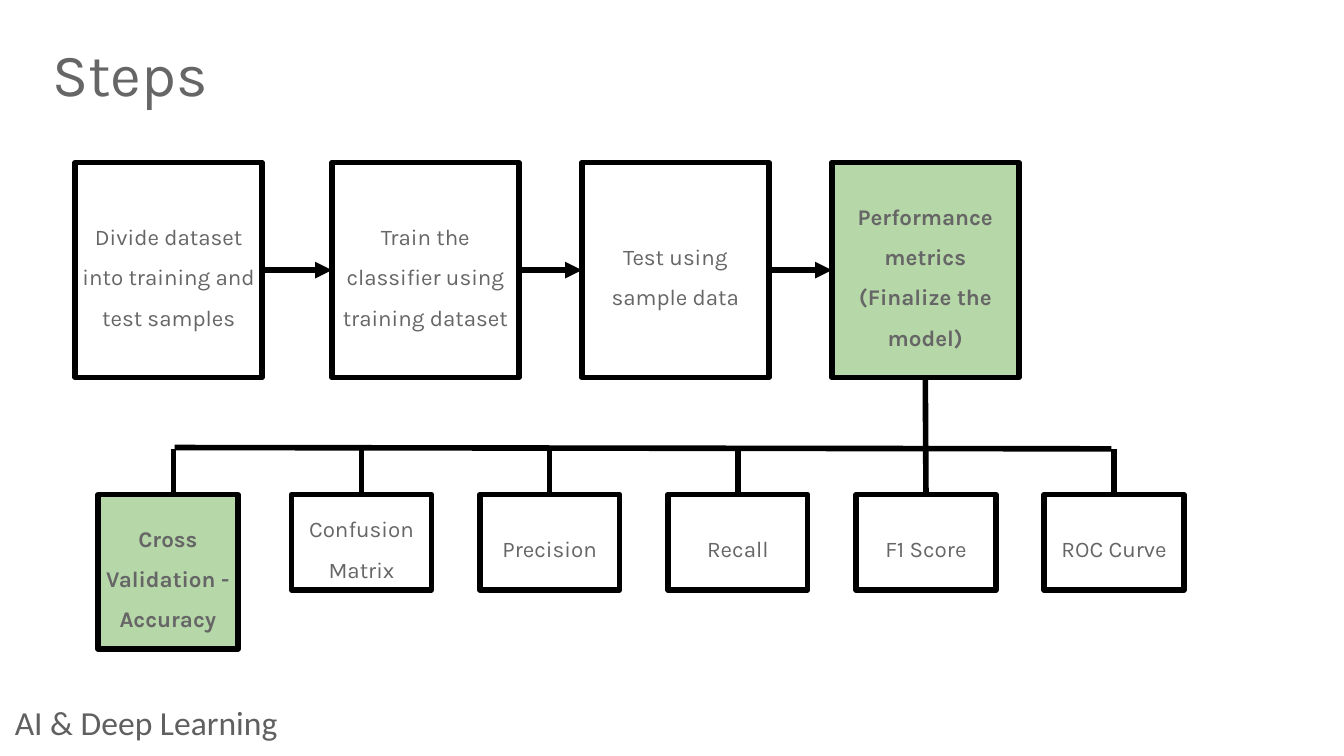
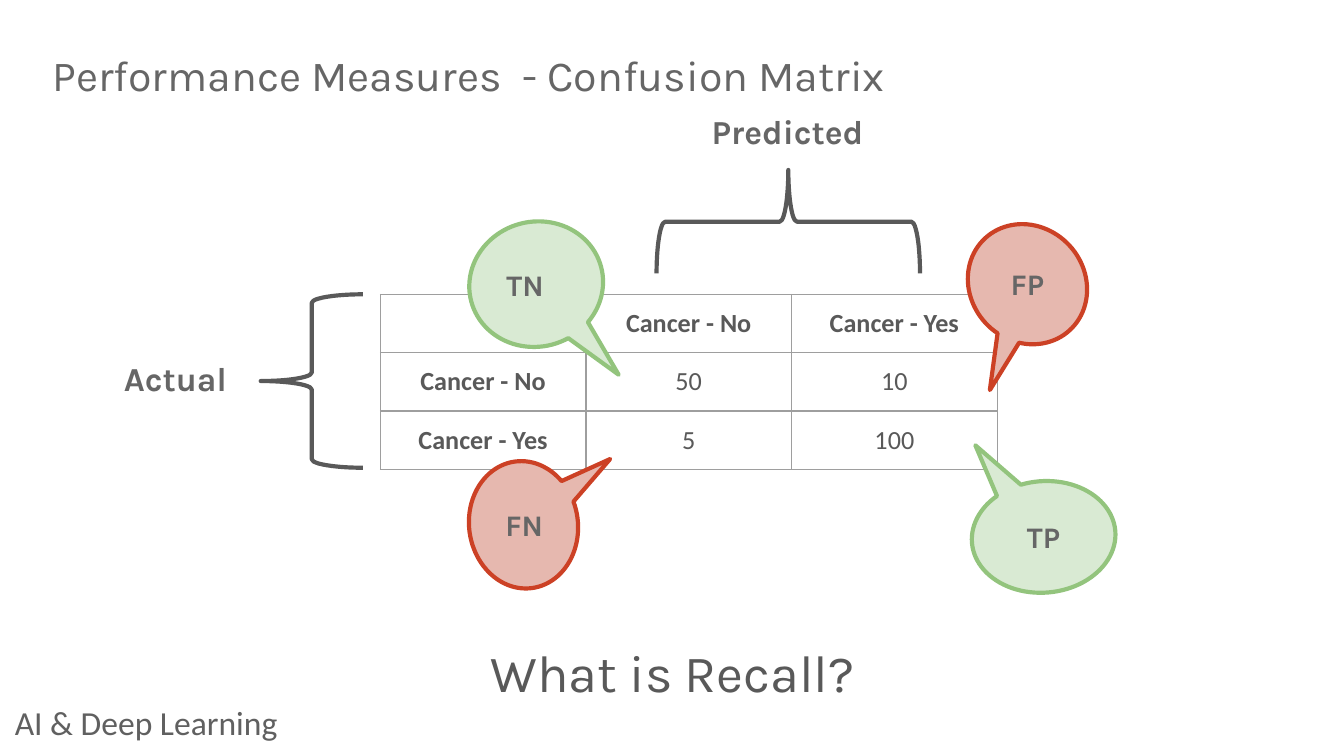
import dataclasses

import lxml.etree
import pptx
import pptx.dml.color
import pptx.enum.shapes
import pptx.enum.text
import pptx.oxml.ns
import pptx.util

Inches = pptx.util.Inches
Pt = pptx.util.Pt
SHAPE = pptx.enum.shapes.MSO_SHAPE
ALIGN = pptx.enum.text.PP_ALIGN
qn = pptx.oxml.ns.qn


@dataclasses.dataclass(frozen=True)
class Theme:
    heading_font: str = "Karla"
    body_font: str = "Calibri"
    text: str = "666666"
    dark: str = "595959"
    footer: str = "606060"
    box_line: str = "000000"
    grid: str = "9E9E9E"
    highlight: str = "B6D7A8"
    right: tuple = ("D9EAD3", "93C47D")
    wrong: tuple = ("E6B8AF", "CC4125")
    title_size: int = 32
    long_title_size: int = 23
    question_size: int = 28
    label_size: int = 18
    tag_size: int = 16
    table_size: int = 14
    box_size: int = 12
    box_width: float = 3
    outline_width: float = 2.25
    grid_width: float = 0.75


T = Theme()


def rgb(value):
    return pptx.dml.color.RGBColor.from_string(value)


def set_text(tf, text, size, font=T.heading_font, color=T.text, bold=False,
             align=ALIGN.CENTER, spacing=None):
    p = tf.paragraphs[0]
    p.alignment = align
    p.line_spacing = spacing
    r = p.add_run()
    r.text = text
    formats = {"size": Pt(size), "name": font, "bold": bold}
    for name, value in formats.items():
        setattr(r.font, name, value)
    r.font.color.rgb = rgb(color)


def set_frame(tf, inset):
    formats = {"word_wrap": True, "vertical_anchor": pptx.enum.text.MSO_ANCHOR.MIDDLE}
    for side in ("left", "top", "right", "bottom"):
        formats[f"margin_{side}"] = Inches(inset)
    for name, value in formats.items():
        setattr(tf, name, value)


def add_text(s, at, text, size, inset=0.1, **style):
    tf = s.shapes.add_textbox(*map(Inches, at)).text_frame
    set_frame(tf, inset)
    set_text(tf, text, size, **style)


def add_outlined(s, kind, at, line, width, fill=None, rotation=0):
    sp = s.shapes.add_shape(kind, *map(Inches, at))
    sp.shadow.inherit = False
    sp.rotation = rotation
    sp.line.color.rgb = rgb(line)
    sp.line.width = Pt(width)
    if fill:
        sp.fill.solid()
        sp.fill.fore_color.rgb = rgb(fill)
    else:
        sp.fill.background()
    return sp


def add_box(s, at, text, key=False):
    """Draw a flow box; a key box is filled and bold."""
    sp = add_outlined(s, SHAPE.RECTANGLE, at, T.box_line, T.box_width,
                      T.highlight if key else None)
    set_frame(sp.text_frame, 0.04)
    set_text(sp.text_frame, text, T.box_size, bold=key, spacing=1.5)
    return sp


def add_line(s, x1=0, y1=0, x2=0, y2=0):
    c = s.shapes.add_connector(pptx.enum.shapes.MSO_CONNECTOR.STRAIGHT,
                               *map(Inches, (x1, y1, x2, y2)))
    c.line.color.rgb = rgb(T.box_line)
    c.line.width = Pt(T.box_width)
    lxml.etree.SubElement(c.element.spPr, qn("a:effectLst"))
    return c


def join(s, start, start_site, end, end_site, arrow=False):
    c = add_line(s)
    c.begin_connect(start, start_site)
    c.end_connect(end, end_site)
    if arrow:
        ln = c.element.spPr.find(qn("a:ln"))
        lxml.etree.SubElement(ln, qn("a:tailEnd"), type="triangle")


def set_borders(cell):
    tc_pr = cell._tc.get_or_add_tcPr()
    for side in ("L", "R", "T", "B"):
        ln = lxml.etree.SubElement(tc_pr, qn(f"a:ln{side}"), w=str(Pt(T.grid_width)))
        fill = lxml.etree.SubElement(ln, qn("a:solidFill"))
        lxml.etree.SubElement(fill, qn("a:srgbClr"), val=T.grid)


def add_matrix(s, rows, left, top, col_width, row_height):
    count = len(rows[0])
    table = s.shapes.add_table(len(rows), count, Inches(left), Inches(top),
                               Inches(col_width * count),
                               Inches(row_height * len(rows))).table
    table.first_row = table.horz_banding = False
    for column in table.columns:
        column.width = Inches(col_width)
    for i, row in enumerate(rows):
        table.rows[i].height = Inches(row_height)
        for j, text in enumerate(row):
            cell = table.cell(i, j)
            set_borders(cell)
            cell.fill.background()
            cell.vertical_anchor = pptx.enum.text.MSO_ANCHOR.MIDDLE
            # An empty cell keeps thin margins so that it does not stretch its row
            for side in ("left", "top", "right", "bottom"):
                setattr(cell, f"margin_{side}", Inches(0.1 if text else 0.02))
            if text:
                set_text(cell.text_frame, text, T.table_size, font=T.body_font,
                         color=T.dark, bold=i == 0 or j == 0)


def add_callout(s, at, rotation, colors, tag, tag_at, align=ALIGN.CENTER):
    fill, line = colors
    sp = add_outlined(s, SHAPE.OVAL_CALLOUT, at, line, T.outline_width, fill, rotation)
    sp.adjustments[0], sp.adjustments[1] = 0.42, 0.87
    add_text(s, tag_at, tag, T.tag_size, bold=True, align=align)


def add_brace(s, at, label, label_at, rotation=0):
    add_outlined(s, SHAPE.LEFT_BRACE, at, T.dark, T.outline_width, rotation=rotation)
    add_text(s, label_at, label, T.label_size, bold=True)


def add_slide(prs, title, title_size):
    s = prs.slides.add_slide(prs.slide_layouts[6])
    add_text(s, (0.07, 5.26, 2.85, 0.23), "AI & Deep Learning", T.label_size, inset=0.04,
             font=T.body_font, color=T.footer, align=ALIGN.LEFT)
    add_text(s, (0.39, 0.24, 9.22, 0.67), title, title_size, inset=0,
             align=ALIGN.LEFT, spacing=0.9)
    return s


def steps_slide(prs):
    s = add_slide(prs, "Steps", T.title_size)
    steps = (
        (0.56, "Divide dataset into training and test samples"),
        (2.47, "Train the classifier using training dataset"),
        (4.33, "Test using sample data"),
        (6.19, "Performance metrics (Finalize the model)"),
    )
    boxes = [add_box(s, (left, 1.21, 1.39, 1.6), text, key=text.startswith("Performance"))
             for left, text in steps]
    for box, following in zip(boxes, boxes[1:]):
        join(s, box, 3, following, 1, arrow=True)

    metrics = ("Cross Validation - Accuracy", "Confusion Matrix", "Precision",
               "Recall", "F1 Score", "ROC Curve")
    first, pitch, bus, top, width = 1.29, 1.4, 3.34, 3.68, 1.04
    for i, text in enumerate(metrics):
        x = first + pitch * i
        key = i == 0
        left = x - width / 2 - (0.04 if key else 0)
        box = add_box(s, (left, top, width, 1.15 if key else 0.71), text, key)
        if text == "F1 Score":
            join(s, boxes[-1], 2, box, 0)
        else:
            add_line(s, x, top, x, bus)
    add_line(s, 8.27, bus, 1.3, 3.33)


def matrix_slide(prs):
    s = add_slide(prs, "Performance Measures  - Confusion Matrix", T.long_title_size)
    no, yes = "Cancer - No", "Cancer - Yes"
    add_matrix(s, (("", no, yes), (no, "50", "10"), (yes, "5", "100")),
               2.83, 2.19, 1.53, 0.43)
    add_brace(s, (1.94, 2.19, 0.76, 1.29), "Actual", (0.8, 2.6, 1.01, 0.43))
    add_brace(s, (5.48, 0.67, 0.77, 1.96), "Predicted", (5.14, 0.76, 1.44, 0.43), 90)
    add_callout(s, (3.49, 1.65, 1, 0.93), 345.1, T.right,
                "TN", (3.67, 1.97, 0.63, 0.29), ALIGN.LEFT)
    add_callout(s, (7.18, 1.69, 0.93, 0.85), 47.4, T.wrong, "FP", (7.35, 1.99, 0.59, 0.24))
    add_callout(s, (3.42, 3.5, 0.95, 0.81), 262.3, T.wrong, "FN", (3.63, 3.74, 0.54, 0.33))
    add_callout(s, (7.23, 3.58, 1.07, 0.83), 175.2, T.right, "TP", (7.45, 3.85, 0.63, 0.29))
    add_text(s, (3.37, 4.75, 3.27, 0.5), "What is Recall?", T.question_size, color=T.dark)


def main():
    prs = pptx.Presentation()
    prs.slide_width = Inches(10)
    prs.slide_height = prs.slide_width * 9 // 16
    steps_slide(prs)
    matrix_slide(prs)
    prs.save("out.pptx")


if __name__ == "__main__":
    main()
